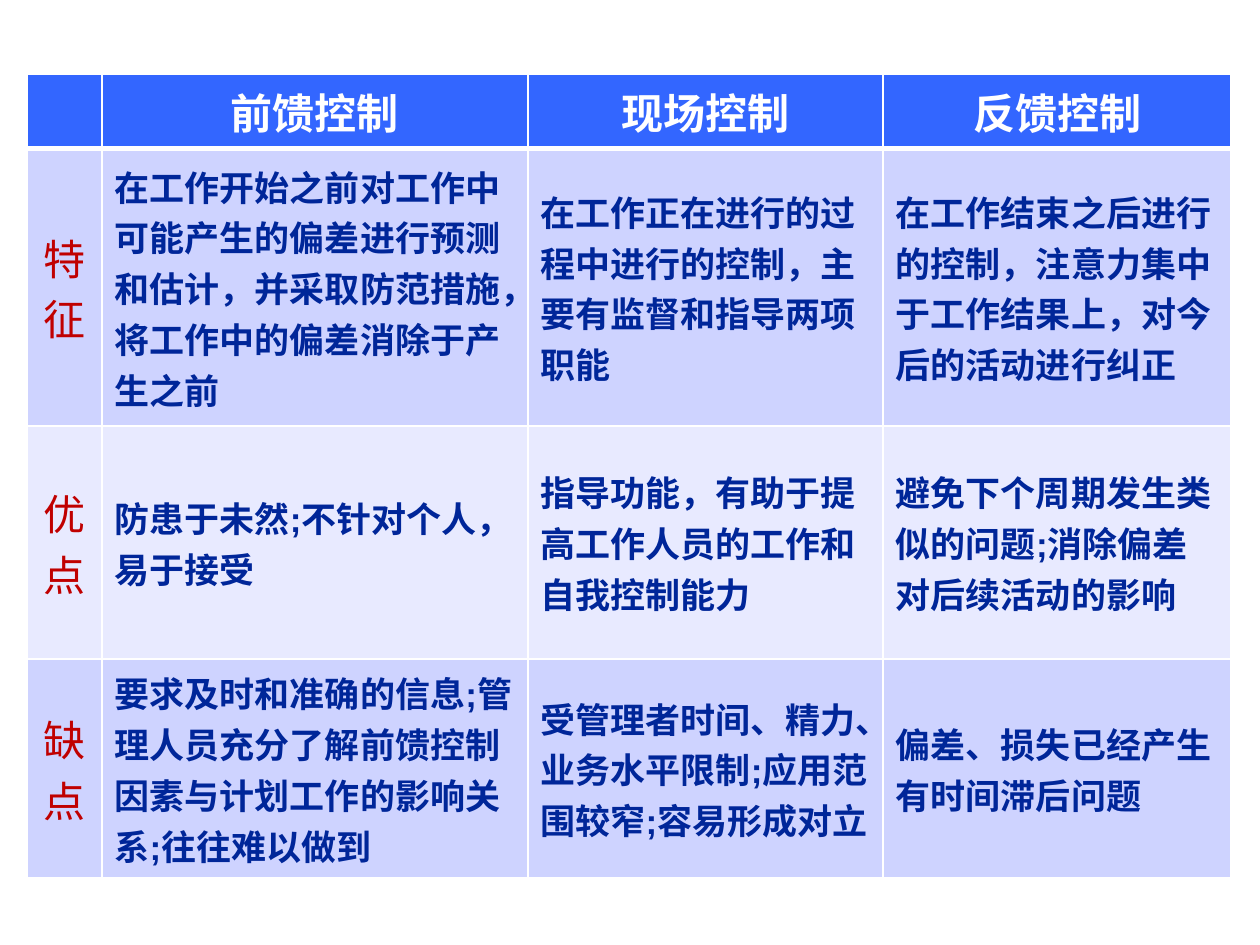
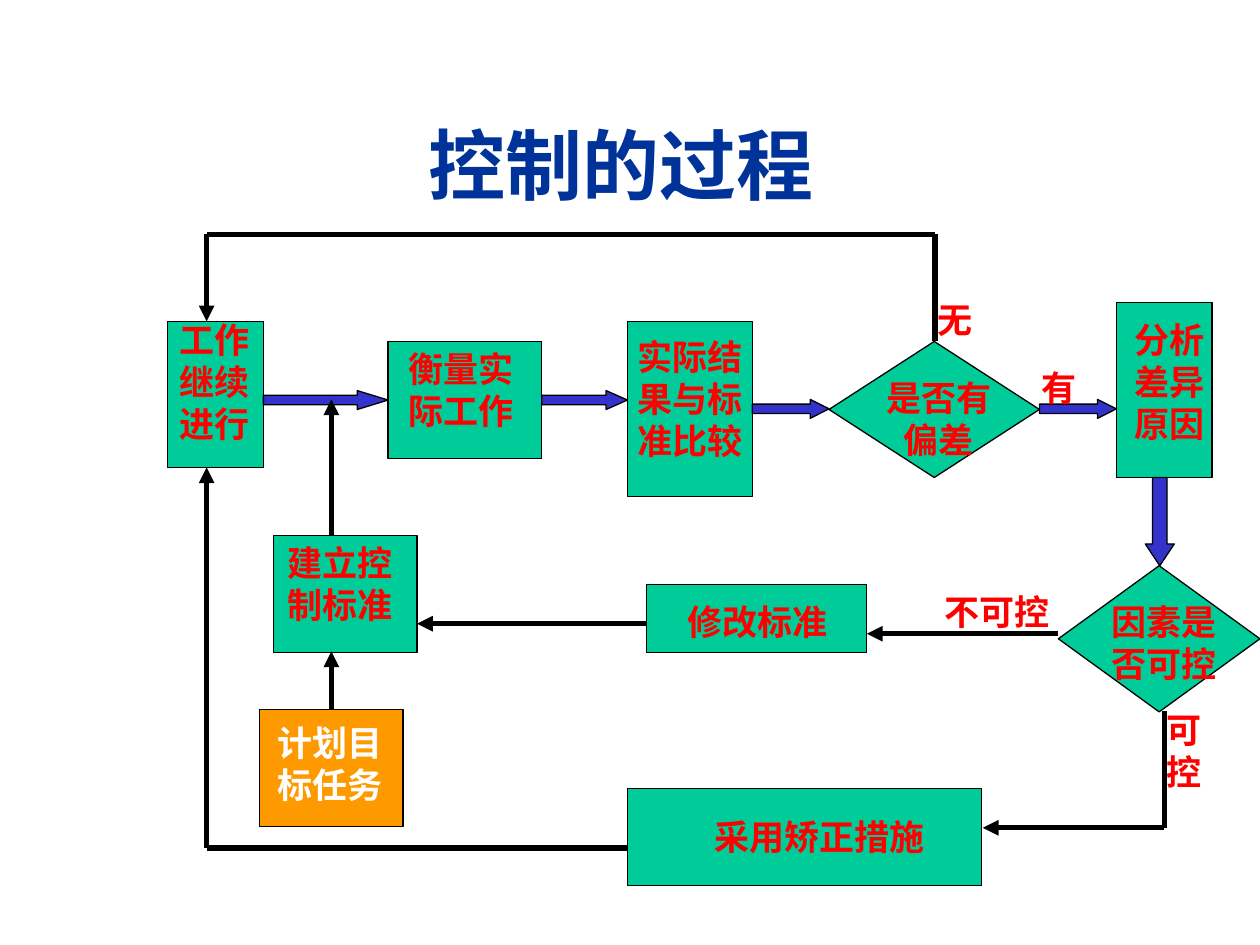
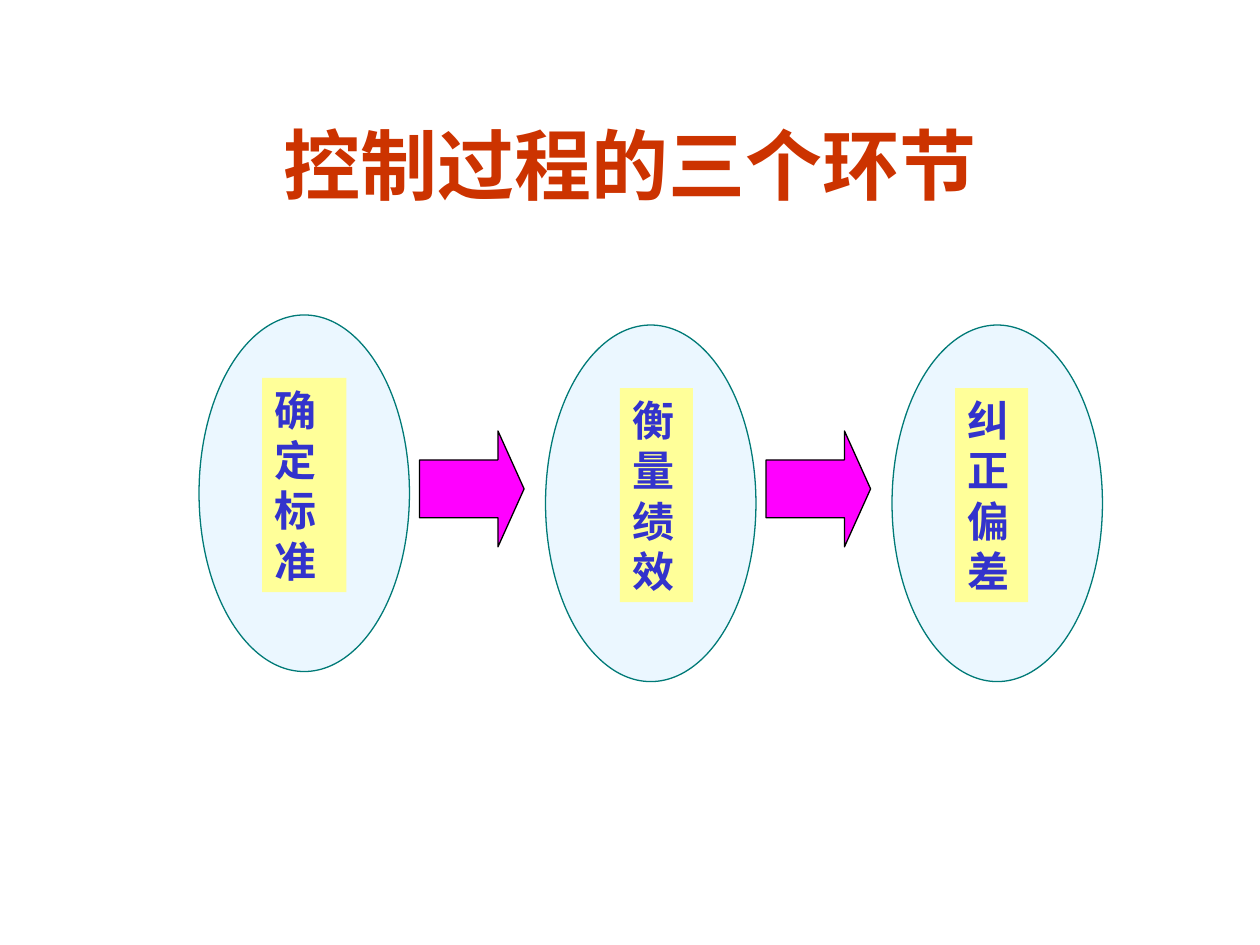
import dataclasses

import pptx
import pptx.dml.color
import pptx.enum.shapes
import pptx.enum.text
import pptx.oxml
import pptx.oxml.ns
import pptx.util

Inches = pptx.util.Inches
Pt = pptx.util.Pt
Shape = pptx.enum.shapes.MSO_SHAPE
Align = pptx.enum.text.PP_ALIGN
Anchor = pptx.enum.text.MSO_ANCHOR


@dataclasses.dataclass(frozen=True)
class Theme:
    white: str = "FFFFFF"
    black: str = "000000"
    red: str = "FF0000"
    blue: str = "3333CC"
    green: str = "00CC99"
    orange: str = "FF9900"
    pink: str = "FF00FF"
    yellow: str = "FFFF99"
    pale: str = "EBF7FF"
    teal: str = "007A77"
    navy: str = "003399"
    rust: str = "CC3300"
    head: str = "3366FF"
    bands: tuple = ("CED3FF", "E8EAFF")
    label: str = "C00000"
    body: str = "002699"
    small: int = 20
    mid: int = 24
    large: int = 44
    thin: float = 0.75
    thick: float = 3
    sans: str = "Arial"
    serif: str = "Times New Roman"
    asian: str = "Noto Sans CJK SC"


def tint(code):
    return pptx.dml.color.RGBColor.from_string(code)


def dress(target, values):
    for name, value in values.items():
        setattr(target, name, value)


def node(parent, tag, **attrs):
    child = pptx.oxml.parse_xml(f"<a:{tag} {pptx.oxml.ns.nsdecls('a')}/>")
    for name, value in attrs.items():
        child.set(name, str(value))
    parent.append(child)
    return child


class Deck:
    def __init__(self, theme):
        self.theme = theme
        self.show = pptx.Presentation()
        dress(self.show, {"slide_width": Inches(10), "slide_height": Inches(7.5)})
        self.slide = None

    def page(self):
        self.slide = self.show.slides.add_slide(self.show.slide_layouts[6])

    def words(self, frame, text, size, color, font, bold=True, align=Align.CENTER, pitch=None):
        for count, part in enumerate(text.split("\n")):
            para = frame.paragraphs[0] if count == 0 else frame.add_paragraph()
            dress(para, {"alignment": align, "line_spacing": pitch})
            run = para.add_run()
            run.text = part
            dress(run.font, {"size": Pt(size), "bold": bold, "name": font})
            run.font.color.rgb = tint(color)
            node(run.font._element, "ea", typeface=self.theme.asian)

    def frame(self, shape, anchor=Anchor.TOP):
        dress(shape.text_frame, {"word_wrap": True, "vertical_anchor": anchor})
        return shape.text_frame

    def text(self, box, text, color, align=Align.CENTER):
        size = self.theme.small
        shape = self.slide.shapes.add_textbox(*map(Inches, box))
        self.words(self.frame(shape), text, size, color, self.theme.serif,
                   align=align, pitch=Pt(size * 1.2))

    def title(self, text, color):
        shape = self.slide.shapes.add_textbox(*map(Inches, (0.33, 0.67, 9.34, 1.25)))
        self.words(self.frame(shape, Anchor.MIDDLE), text, self.theme.large, color, self.theme.asian)

    def shape(self, kind, box, fill, line=None, adjust=()):
        item = self.slide.shapes.add_shape(kind, *map(Inches, box))
        item.shadow.inherit = False
        item.fill.solid()
        item.fill.fore_color.rgb = tint(fill)
        if line:
            item.line.color.rgb = tint(line)
            item.line.width = Pt(self.theme.thin)
        else:
            item.line.fill.background()
        for spot, value in enumerate(adjust):
            item.adjustments[spot] = value
        return item

    def tag(self, box, text):
        size = self.theme.mid
        item = self.shape(Shape.RECTANGLE, box, self.theme.yellow)
        self.words(self.frame(item), text, size, self.theme.blue, self.theme.serif,
                   align=Align.JUSTIFY, pitch=Pt(size * 1.2))

    def route(self, points):
        for start, end in zip(points, points[1:]):
            line = self.slide.shapes.add_connector(
                pptx.enum.shapes.MSO_CONNECTOR.STRAIGHT, *map(Inches, start + end))
            line.line.color.rgb = tint(self.theme.black)
            line.line.width = Pt(self.theme.thick)
            props = line._element.spPr
            if end == points[-1]:
                node(props.get_or_add_ln(), "tailEnd", type="triangle")
            node(props, "effectLst")

    def cell(self, cell, fill, edges):
        props = cell._tc.get_or_add_tcPr()
        for side, width in edges.items():
            line = node(props, f"ln{side}", w=int(Pt(width)))
            node(node(line, "solidFill"), "srgbClr", val=self.theme.white)
        cell.fill.solid()
        cell.fill.fore_color.rgb = tint(fill)

    def table(self, spot, cols, rows, data):
        look = self.theme
        box = (*spot, sum(cols), sum(rows))
        grid = self.slide.shapes.add_table(len(rows), len(cols), *map(Inches, box)).table
        for col, width in zip(grid.columns, cols):
            col.width = Inches(width)
        for row, height in zip(grid.rows, rows):
            row.height = Inches(height)
        for r, line in enumerate(data):
            fill = look.bands[(r - 1) % 2] if r else look.head
            edges = {"L": 1, "R": 1, "T": 3 if r == 1 else 1, "B": 1 if r else 3}
            for c, text in enumerate(line):
                cell = grid.cell(r, c)
                self.cell(cell, fill, edges)
                cell.vertical_anchor = Anchor.MIDDLE if r else Anchor.TOP
                if r == 0:
                    style = (look.mid, look.white, look.sans)
                elif c == 0:
                    style = (look.mid, look.label, look.sans, False)
                else:
                    style = (look.small, look.body, look.sans, True, Align.LEFT)
                if text:
                    self.words(cell.text_frame, text, *style)


def compare(deck):
    deck.page()
    deck.table((0.22, 0.59), (0.59, 3.38, 2.82, 2.76), (0.59, 2.2, 1.85, 1.74), (
        ("", "前馈控制", "现场控制", "反馈控制"),
        ("特征",
         "在工作开始之前对工作中可能产生的偏差进行预测和估计，并采取防范措施，将工作中的偏差消除于产生之前",
         "在工作正在进行的过程中进行的控制，主要有监督和指导两项职能",
         "在工作结束之后进行的控制，注意力集中于工作结果上，对今后的活动进行纠正"),
        ("优点",
         "防患于未然;不针对个人，\n易于接受",
         "指导功能，有助于提高工作人员的工作和自我控制能力",
         "避免下个周期发生类似的问题;消除偏差对后续活动的影响"),
        ("缺点",
         "要求及时和准确的信息;管理人员充分了解前馈控制因素与计划工作的影响关系;往往难以做到",
         "受管理者时间、精力、业务水平限制;应用范围较窄;容易形成对立",
         "偏差、损失已经产生\n有时间滞后问题"),
    ))


def process(deck):
    look = deck.theme
    deck.page()
    deck.title("控制的过程 ", look.navy)
    for kind, fill, boxes in (
        (Shape.RECTANGLE, look.green, (
            (1.33, 2.55, 0.76, 1.16), (4.98, 2.55, 0.99, 1.39), (2.17, 4.25, 1.14, 0.93),
            (3.08, 2.71, 1.22, 0.93), (8.86, 2.4, 0.76, 1.39), (5.13, 4.64, 1.75, 0.54),
            (4.98, 6.26, 2.81, 0.77))),
        (Shape.RECTANGLE, look.orange, ((2.06, 5.63, 1.14, 0.93),)),
        (Shape.FLOWCHART_DECISION, look.green, ((6.58, 2.71, 1.67, 1.08), (8.4, 4.49, 1.6, 1.16))),
    ):
        for box in boxes:
            deck.shape(kind, box, fill, look.black)
    for box, point in (
        ((2.09, 3.1, 0.99, 0.15), 1.63), ((5.97, 3.17, 0.61, 0.15), 1),
        ((4.3, 3.1, 0.68, 0.15), 1.13), ((8.25, 3.17, 0.61, 0.15), 1),
    ):
        deck.shape(Shape.RIGHT_ARROW, box, look.blue, look.black, (0.5, point))
    deck.shape(Shape.DOWN_ARROW, (9.09, 3.79, 0.23, 0.7), look.blue, look.black, (0.5, 0.75))
    for points in (
        ((9.24, 5.64), (9.24, 6.57), (7.8, 6.57)),
        ((4.98, 6.73), (1.64, 6.73), (1.64, 3.71)),
        ((8.4, 5.03), (6.88, 5.03)),
        ((5.13, 4.95), (3.31, 4.95)),
        ((2.63, 4.25), (2.63, 3.17)),
        ((2.63, 5.63), (2.63, 5.17)),
        ((7.42, 2.71), (7.42, 1.86), (1.64, 1.86), (1.64, 2.55)),
    ):
        deck.route(points)
    deck.text((1.33, 2.48, 0.99, 1.1), "工作继续进行", look.red, Align.LEFT)
    for box, text in (
        ((3.09, 2.71, 1.14, 0.77), "衡量实际工作"),
        ((4.91, 2.61, 1.14, 1.1), "实际结果与标准比较"),
        ((6.88, 2.94, 1.14, 0.77), "是否有 偏差"),
        ((8.86, 2.48, 0.84, 1.1), "分析差异原因"),
        ((8.71, 4.72, 1.06, 0.77), "因素是否可控"),
        ((5.06, 4.72, 1.9, 0.43), "修改标准"),
        ((5.02, 6.42, 2.97, 0.43), "采用矫正措施"),
        ((2.09, 4.25, 1.22, 0.77), "建立控制标准"),
        ((8.1, 2.86, 0.61, 0.43), "有"),
        ((7.34, 2.32, 0.46, 0.43), "无"),
        ((9.16, 5.57, 0.46, 0.77), "可控"),
        ((7.19, 4.64, 1.44, 0.43), "不可控"),
    ):
        deck.text(box, text, look.red)
    deck.text((2.09, 5.68, 1.06, 0.77), "计划目标任务", look.white)


def stages(deck):
    look = deck.theme
    deck.page()
    deck.title("控制过程的三个环节", look.rust)
    for step, (top, left, width, text) in enumerate((
        (2.5, 2.08, 0.67, "确定标准"),
        (2.58, 4.92, 0.58, "衡量绩效"),
        (2.58, 7.58, 0.58, "纠正偏差"),
    )):
        shift = 2.75 * step
        deck.shape(Shape.OVAL, (1.58 + shift, top, 1.67, 2.83), look.pale, look.teal)
        deck.tag((left, top + 0.5, width, 1.7), text)
        if step < 2:
            deck.shape(Shape.RIGHT_ARROW, (3.33 + shift, 3.42, 0.83, 0.92),
                       look.pink, look.black, (0.5, 0.25))


def main():
    deck = Deck(Theme())
    for build in (compare, process, stages):
        build(deck)
    deck.show.save("out.pptx")


if __name__ == "__main__":
    main()
